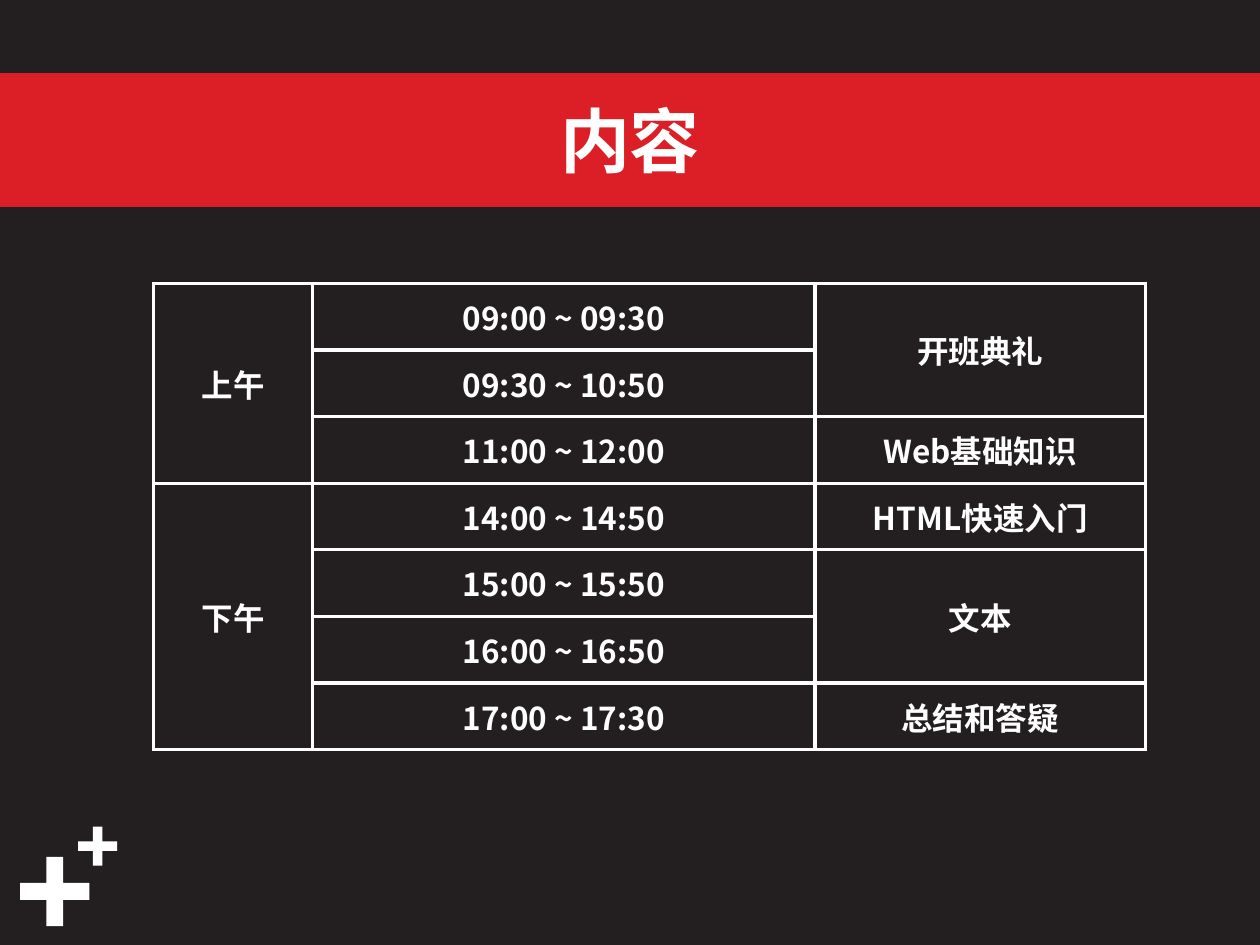
from lxml import etree
from pptx import Presentation, util as u
from pptx.dml.color import RGBColor
from pptx.enum import shapes, text
from pptx.oxml import ns

HUES = {"dark": "231F20", "red": "DC1F26", "white": "FFFFFF"}
FACE = "Noto Sans CJK SC"
WIDE, HIGH = 10, 7.5
TITLE = "内容"
TIMES = [
    "09:00 ~ 09:30", "09:30 ~ 10:50", "11:00 ~ 12:00", "14:00 ~ 14:50",
    "15:00 ~ 15:50", "16:00 ~ 16:50", "17:00 ~ 17:30",
]
HALVES = [("上午", 3), ("下午", 4)]
TOPICS = [("开班典礼", 2), ("Web基础知识", 1), ("HTML快速入门", 1),
          ("文本", 2), ("总结和答疑", 1)]
GRID = [HALVES, [(time, 1) for time in TIMES], TOPICS]
COLS = [1.26, 3.99, 2.62]
ROW = 3.7 / len(TIMES)
PLUSES = [(0.16, 6.8, 0.55), (0.62, 6.56, 0.31)]


def hue(name):
    return RGBColor.from_string(HUES[name])


def write(frame, words, size):
    para = frame.paragraphs[0]
    para.text = words
    para.alignment = text.PP_ALIGN.CENTER
    font = para.font
    font.size, font.bold, font.name = u.Pt(size), True, FACE
    font.color.rgb = hue("white")
    props = para._p.pPr.find(ns.qn("a:defRPr"))
    etree.SubElement(props, ns.qn("a:ea"), typeface=FACE)


def draw(slide, kind, box, fill):
    shape = slide.shapes.add_shape(kind, *map(u.Inches, box))
    shape.shadow.inherit = False
    shape.fill.solid()
    shape.fill.fore_color.rgb = hue(fill)
    shape.line.fill.background()
    return shape


def edge(cell):
    cell.fill.background()
    props = cell._tc.get_or_add_tcPr()
    for spot, side in enumerate("LRTB"):
        line = etree.Element(ns.qn("a:ln" + side), w=str(u.Pt(2.25)))
        fill = etree.SubElement(line, ns.qn("a:solidFill"))
        etree.SubElement(fill, ns.qn("a:srgbClr"), val=HUES["white"])
        props.insert(spot, line)


def plan(slide):
    table = slide.shapes.add_table(
        len(TIMES), len(COLS), u.Inches(1.22), u.Inches(2.25),
        u.Inches(sum(COLS)), u.Inches(ROW * len(TIMES))).table
    table.first_row = table.horz_banding = False
    for col, width in zip(table.columns, COLS):
        col.width = u.Inches(width)
    for row in table.rows:
        row.height = u.Inches(ROW)
    for cell in table.iter_cells():
        edge(cell)
    for col, items in enumerate(GRID):
        top = 0
        for words, span in items:
            cell = table.cell(top, col)
            if span > 1:
                cell.merge(table.cell(top + span - 1, col))
            cell.vertical_anchor = text.MSO_ANCHOR.MIDDLE
            write(cell.text_frame, words, 18)
            top += span


def main():
    deck = Presentation()
    deck.slide_width, deck.slide_height = u.Inches(WIDE), u.Inches(HIGH)
    slide = deck.slides.add_slide(deck.slide_layouts[6])
    slide.background.fill.solid()
    slide.background.fill.fore_color.rgb = hue("dark")
    for left, top, size in PLUSES:
        plus = draw(slide, shapes.MSO_SHAPE.CROSS, (left, top, size, size), "white")
        plus.adjustments[0] = 0.378
    band = draw(slide, shapes.MSO_SHAPE.RECTANGLE, (0, 0.6, WIDE, 1.02), "red")
    band.line.color.rgb = hue("red")
    band.line.width = u.Pt(3)
    band.text_frame.vertical_anchor = text.MSO_ANCHOR.MIDDLE
    write(band.text_frame, TITLE, 40)
    plan(slide)
    deck.save("out.pptx")


if __name__ == "__main__":
    main()
